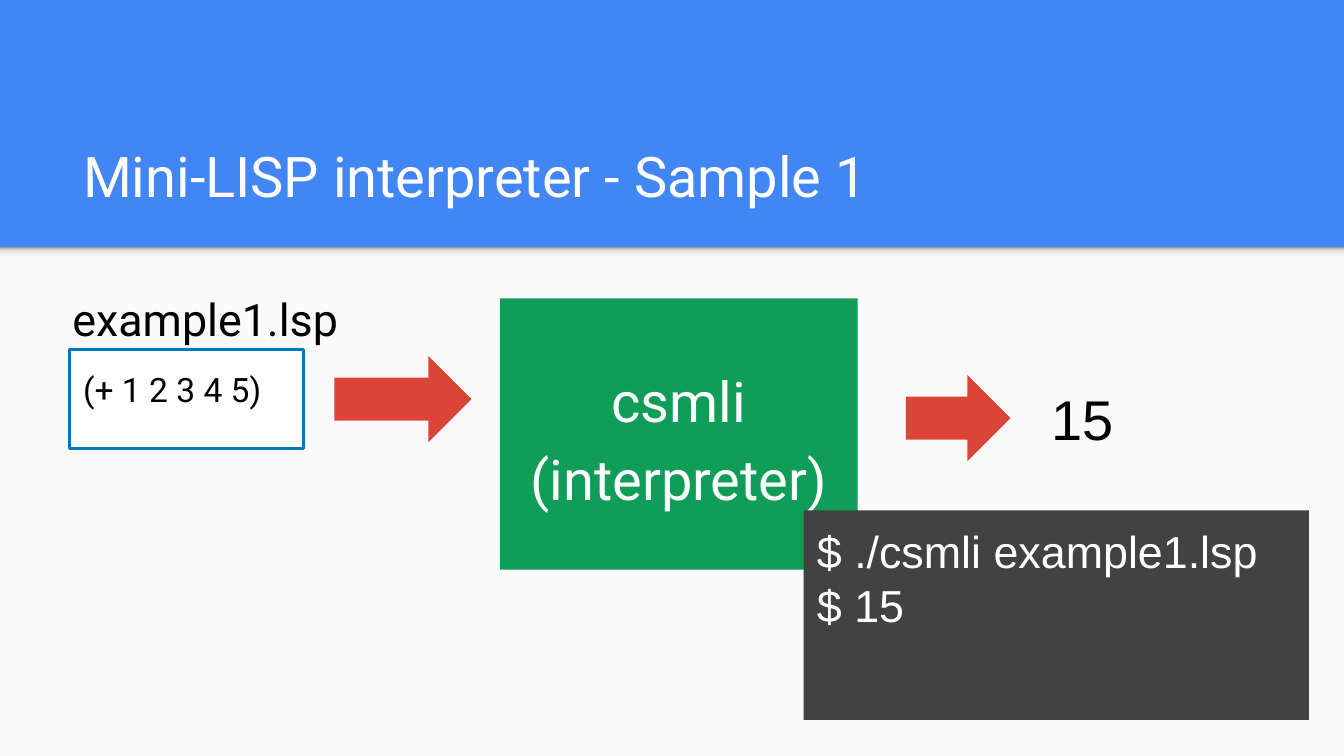
from copy import deepcopy

from lxml.etree import SubElement
from pptx import Presentation
from pptx.dml.color import RGBColor
from pptx.enum.shapes import MSO_SHAPE
from pptx.enum.text import MSO_ANCHOR, MSO_AUTO_SIZE, PP_ALIGN
from pptx.oxml.ns import qn
from pptx.util import Cm, Pt

BLUE, PAPER, WHITE, BLACK = "4285F4", "FAFAFA", "FFFFFF", "000000"
GREEN, RED, CHARCOAL, OUTLINE = "0F9D58", "DB4437", "424242", "0277BD"
SHADE_STOPS = [(0, "F9F9F9"), (0.36, "F9F9F9"), (0.8, "DEDEDE"), (1, "999999")]


def colour(value):
    """Turn a hex string into a colour."""
    return RGBColor.from_string(value)


def place(shape, box):
    """Move a shape to a box of left, top, width and height in centimetres."""
    shape.left, shape.top, shape.width, shape.height = map(Cm, box)


def paint(shape, fill):
    """Give a shape a solid fill."""
    shape.fill.solid()
    shape.fill.fore_color.rgb = colour(fill)


def add_block(page, kind, box, fill):
    """Add a plain filled shape without line or shadow."""
    shape = page.shapes.add_shape(kind, *map(Cm, box))
    shape.shadow.inherit = False
    shape.line.fill.background()
    paint(shape, fill)
    return shape


def write(shape, text, size, ink, font="Roboto", anchor=MSO_ANCHOR.TOP,
          align=PP_ALIGN.LEFT, spaced=False):
    """Set and format the text of a shape."""
    frame = shape.text_frame
    frame.text = text
    frame.word_wrap = True
    frame.auto_size = MSO_AUTO_SIZE.NONE
    frame.vertical_anchor = anchor
    frame.margin_left = frame.margin_right = Cm(0.25)
    frame.margin_top = frame.margin_bottom = Cm(0.25)
    for para in frame.paragraphs:
        para.alignment = align
        para.line_spacing = 1.15 if spaced else 1.0
        para.space_before = Pt(0)
        para.space_after = Pt(16 if spaced else 0)
        properties = para._p.get_or_add_pPr()
        properties.set("marL", "0")
        properties.set("indent", "0")
        SubElement(properties, qn("a:buNone"))
        for span in para.runs:
            span.font.size = Pt(size)
            span.font.name = font
            span.font.color.rgb = colour(ink)


def add_backdrop(page, box):
    """Lay the pale panel and its top shade behind everything else."""
    left, top, width, _ = box
    panel = add_block(page, MSO_SHAPE.RECTANGLE, box, PAPER)
    shade = add_block(page, MSO_SHAPE.RECTANGLE, (left, top, width, 0.3), PAPER)
    shade.fill.gradient()
    shade.fill.gradient_angle = 90
    stop_list = shade.fill._fill._gradFill.find(qn("a:gsLst"))
    for _ in range(len(SHADE_STOPS) - len(stop_list)):
        stop_list.append(deepcopy(stop_list[-1]))
    for stop, (position, value) in zip(shade.fill.gradient_stops, SHADE_STOPS):
        stop.position = position
        stop.color.rgb = colour(value)
    tree = page.shapes._spTree
    for index, shape in enumerate((panel, shade), start=2):
        tree.insert(index, shape._element)


def add_title(page, box):
    """Place the title."""
    title = page.shapes.title
    place(title, box)
    write(title, "Mini-LISP interpreter - Sample 1", 30, WHITE,
          anchor=MSO_ANCHOR.BOTTOM)


def add_source_file(page, box):
    """Place the outlined program with its file name above."""
    left, top, _, _ = box
    program = page.placeholders[1]
    place(program, box)
    paint(program, WHITE)
    program.line.color.rgb = colour(OUTLINE)
    program.line.width = Pt(1.5)
    write(program, "(+ 1 2 3 4 5)", 18, BLACK, spaced=True)
    label = page.shapes.add_textbox(*map(Cm, (left - 0.2, top - 1.49, 7.04, 1.19)))
    write(label, "example1.lsp", 24, BLACK, spaced=True)


def add_interpreter(page, box):
    """Place the green interpreter block."""
    interpreter = page.placeholders[2]
    place(interpreter, box)
    paint(interpreter, GREEN)
    write(interpreter, "csmli (interpreter)", 30, WHITE,
          anchor=MSO_ANCHOR.MIDDLE, align=PP_ALIGN.CENTER, spaced=True)


def add_result(page, box):
    """Place the computed value."""
    result = page.shapes.add_textbox(*map(Cm, box))
    write(result, "15", 30, BLACK, font="Arial")


def add_terminal(page, box):
    """Place the dark terminal window."""
    terminal = add_block(page, MSO_SHAPE.RECTANGLE, box, CHARCOAL)
    write(terminal, "$ ./csmli example1.lsp\n$ 15", 24, WHITE, font="Arial")


def main():
    """Build the slide and save the deck."""
    deck = Presentation()
    deck.slide_width, deck.slide_height = Cm(25.4), Cm(14.29)
    page = deck.slides.add_slide(deck.slide_layouts[3])
    paint(page.background, BLUE)
    add_backdrop(page, (0, 4.67, 25.4, 9.62))
    add_title(page, (1.32, 2.06, 22.83, 2.13))
    add_source_file(page, (1.32, 6.6, 4.42, 1.88))
    add_interpreter(page, (9.45, 5.64, 6.76, 5.13))
    add_result(page, (19.63, 7.01, 2.18, 1.78))
    for box in ((6.32, 6.73, 2.59, 1.63), (17.12, 7.09, 1.98, 1.63)):
        add_block(page, MSO_SHAPE.RIGHT_ARROW, box, RED)
    add_terminal(page, (15.19, 9.65, 9.55, 3.96))
    deck.save("out.pptx")


if __name__ == "__main__":
    main()
